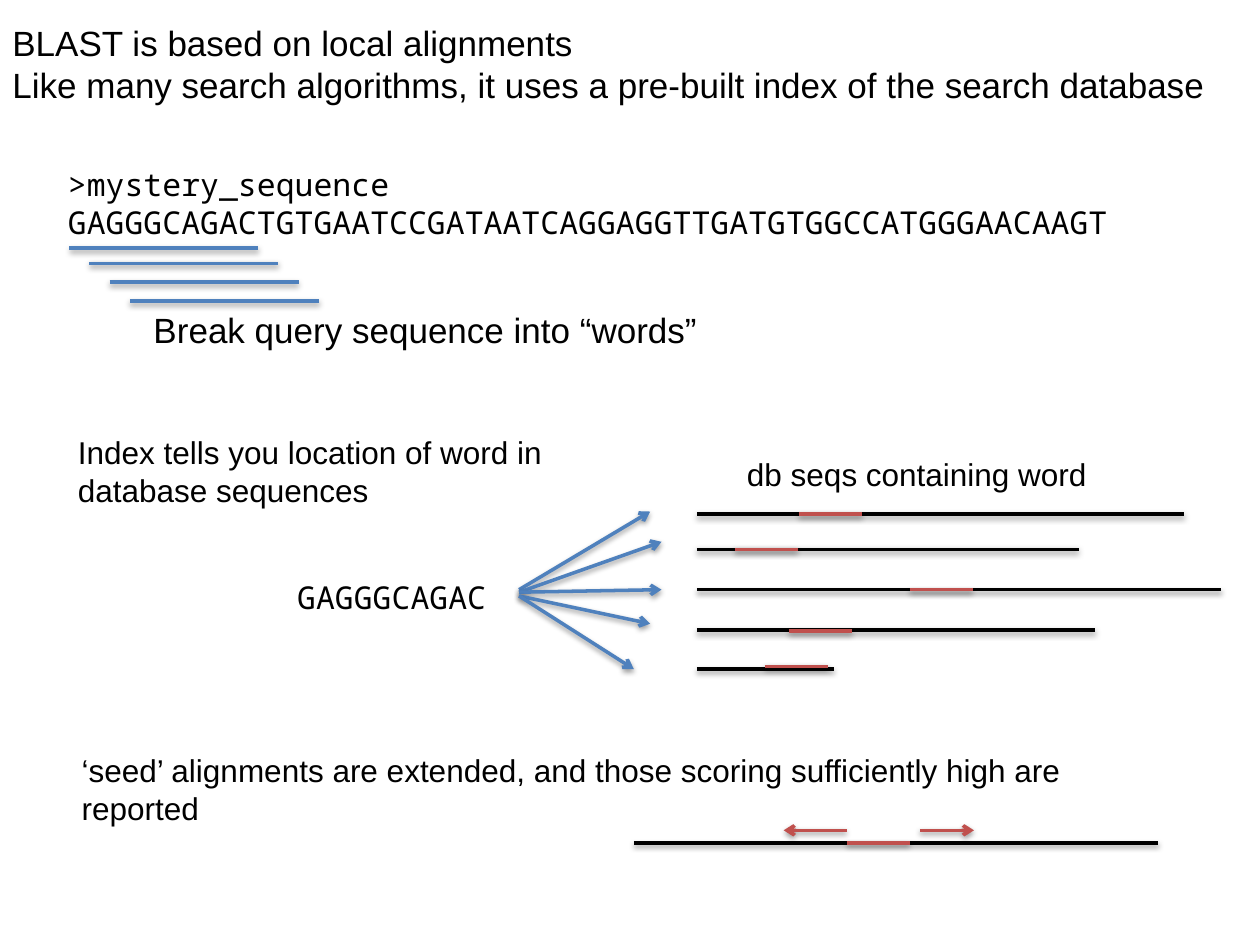
from lxml import etree
from pptx import Presentation
from pptx.dml.color import RGBColor
from pptx.enum.shapes import MSO_CONNECTOR
from pptx.enum.text import MSO_AUTO_SIZE
from pptx.oxml import parse_xml
from pptx.oxml.ns import qn
from pptx.util import Inches, Pt

STRAIGHT = MSO_CONNECTOR.STRAIGHT
FIT_SHAPE = MSO_AUTO_SIZE.SHAPE_TO_FIT_TEXT
BLACK = RGBColor(0x00, 0x00, 0x00)
BLUE = RGBColor(0x4F, 0x81, 0xBD)
RED = RGBColor(0xC0, 0x50, 0x4D)
SANS = "Arial"
MONO = "Noto Sans Mono"
WORD = 0.5
SHADOW = (
    '<a:effectLst xmlns:a="http://schemas.openxmlformats.org/drawingml/2006/main">'
    '<a:outerShdw blurRad="40000" dist="20000" dir="5400000" rotWithShape="0">'
    '<a:srgbClr val="000000"><a:alpha val="38000"/></a:srgbClr>'
    '</a:outerShdw></a:effectLst>'
)


def add_text(s, left, top, width, height, lines, size=18, font=SANS, wrap=True):
    sp = s.shapes.add_textbox(Inches(left), Inches(top), Inches(width), Inches(height))
    tf = sp.text_frame
    tf.word_wrap = wrap
    tf.auto_size = FIT_SHAPE
    for i, line in enumerate(lines):
        p = tf.add_paragraph() if i else tf.paragraphs[0]
        r = p.add_run()
        r.text = line
        r.font.size = Pt(size)
        r.font.name = font
        r.font.color.rgb = BLACK


def add_line(s, x1, y1, x2, y2, color, arrow=False):
    c = s.shapes.add_connector(STRAIGHT, Inches(x1), Inches(y1), Inches(x2), Inches(y2))
    c.line.color.rgb = color
    c.line.width = Pt(2)
    if arrow:
        etree.SubElement(c.line._get_or_add_ln(), qn("a:tailEnd"), type="arrow")
    c._element.spPr.append(parse_xml(SHADOW))


def add_heading(s, left, top, width):
    add_text(s, left, top, width, 0.77, [
        "BLAST is based on local alignments",
        "Like many search algorithms, it uses a pre-built index of the search database",
    ], size=20)


def add_query(s, left, top, width):
    add_text(s, left, top, width, 0.71, [
        ">mystery_sequence",
        "GAGGGCAGACTGTGAATCCGATAATCAGGAGGTTGATGTGGCCATGGGAACAAGT",
    ], font=MONO)
    for i, y in enumerate((0.71, 0.83, 0.98, 1.13)):
        x = left + 0.11 + 0.16 * i
        add_line(s, x, top + y, x + 1.5, top + y, BLUE)
    add_text(s, left + 0.68, top + 1.14, 4.64, 0.44,
             ["Break query sequence into “words”"], size=20)


def add_index(s, left, top):
    add_text(s, left, top, 4.64, 0.71,
             ["Index tells you location of word in database sequences"])
    add_text(s, left + 1.74, top + 1.15, 1.72, 0.4, ["GAGGGCAGAC"], font=MONO, wrap=False)
    for y1, x2, y2 in ((1.29, 4.64, 0.67), (1.31, 4.73, 0.91), (1.31, 4.73, 1.29),
                       (1.34, 4.64, 1.56), (1.34, 4.51, 1.92)):
        add_line(s, left + 3.6, top + y1, left + x2, top + y2, BLUE, arrow=True)


def add_database(s, left, top):
    add_text(s, left + 0.3, top, 3.25, 0.4, ["db seqs containing word"])
    for y, length, word_x, word_y in ((0.52, 3.87, 0.81, 0.52), (0.8, 3.03, 0.3, 0.8),
                                      (1.12, 4.16, 1.69, 1.12), (1.44, 3.16, 0.73, 1.45),
                                      (1.75, 1.09, 0.54, 1.73)):
        add_line(s, left, top + y, left + length, top + y, BLACK)
        x = left + word_x
        add_line(s, x, top + word_y, x + WORD, top + word_y, RED)


def add_extension(s, left, top, width):
    add_text(s, left, top, width, 0.71, [
        "‘seed’ alignments are extended, and those scoring sufficiently high are reported",
    ])
    y = top + 0.78
    seed = left + 6.17
    add_line(s, left + 4.48, y, left + 8.64, y, BLACK)
    add_line(s, seed, y, seed + WORD, y, RED)
    add_line(s, seed + 0.58, y - 0.1, seed + 1.01, y - 0.1, RED, arrow=True)
    add_line(s, seed, y - 0.1, seed - WORD, y - 0.1, RED, arrow=True)


def main():
    prs = Presentation()
    prs.slide_width = Inches(10)
    prs.slide_height = Inches(7.5)
    s = prs.slides.add_slide(prs.slide_layouts[6])
    add_heading(s, 0, 0.12, 10)
    add_query(s, 0.44, 1.26, 8.51)
    add_index(s, 0.52, 3.39)
    add_database(s, 5.53, 3.56)
    add_extension(s, 0.55, 5.91, 8.15)
    prs.save("out.pptx")


if __name__ == "__main__":
    main()
